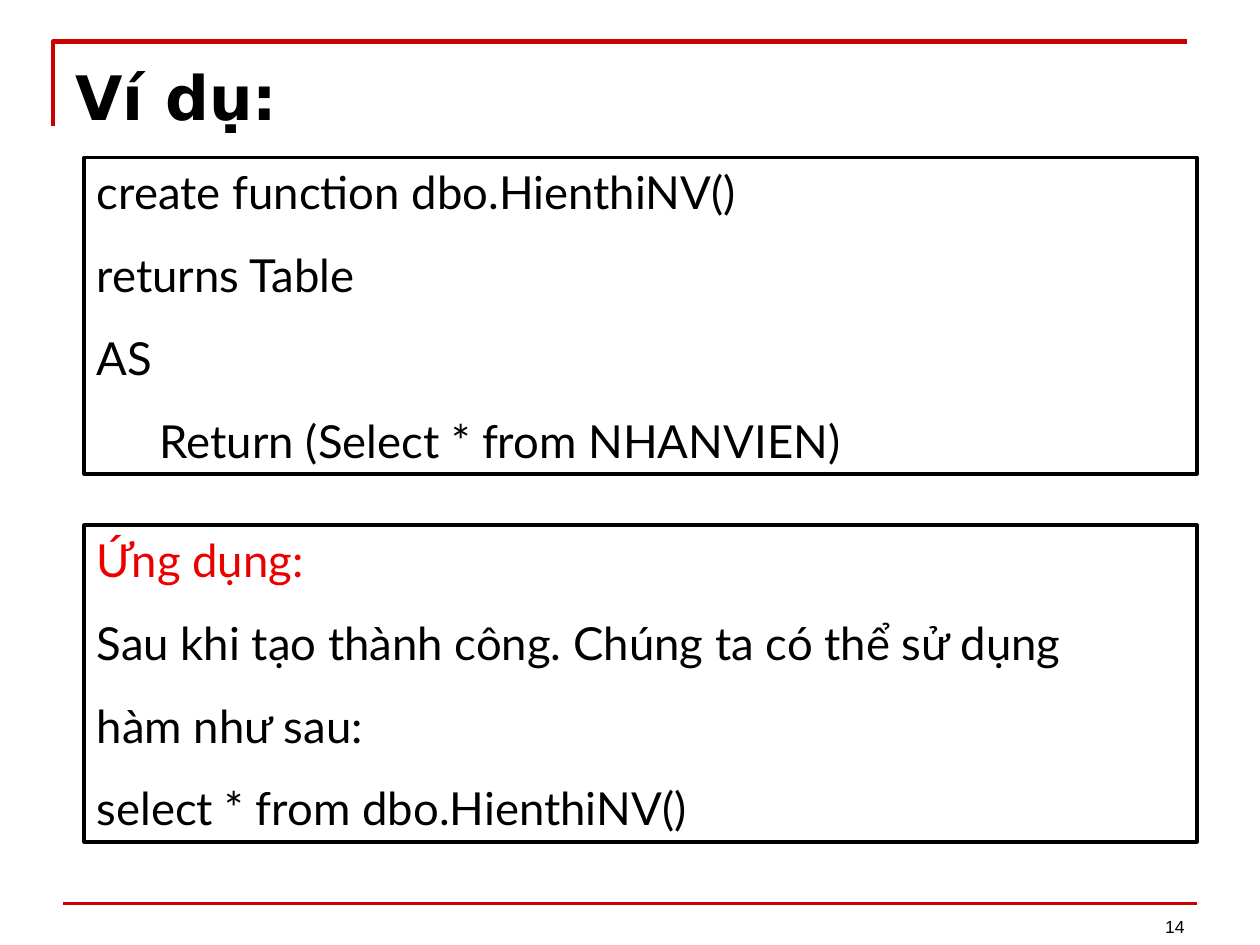
from dataclasses import dataclass

from lxml import etree
from pptx import Presentation
from pptx.dml.color import RGBColor
from pptx.enum.shapes import MSO_CONNECTOR, MSO_SHAPE
from pptx.enum.text import MSO_ANCHOR, PP_ALIGN
from pptx.oxml.ns import qn
from pptx.util import Pt

STRAIGHT = MSO_CONNECTOR.STRAIGHT
RECTANGLE = MSO_SHAPE.RECTANGLE
TOP, BOTTOM = MSO_ANCHOR.TOP, MSO_ANCHOR.BOTTOM
LEFT, RIGHT = PP_ALIGN.LEFT, PP_ALIGN.RIGHT

BLACK = RGBColor(0x00, 0x00, 0x00)
RULE_RED = RGBColor(0xCC, 0x00, 0x00)
HEADING_RED = RGBColor(0xEB, 0x00, 0x00)

PANEL_LEFT, PANEL_WIDTH, PANEL_HEIGHT = 48.24, 635.76, 180.72


@dataclass(frozen=True)
class Line:
    text: str
    color: RGBColor = BLACK


@dataclass(frozen=True)
class Panel:
    top: float
    lines: tuple[Line, ...]


PANELS = (
    Panel(90, (
        Line("create function dbo.HienthiNV()"),
        Line("returns Table"),
        Line("AS"),
        Line("\tReturn (Select * from NHANVIEN)"),
    )),
    Panel(300.24, (
        Line("Ứng dụng:", HEADING_RED),
        Line("Sau khi tạo thành công. Chúng ta có thể sử dụng"),
        Line("hàm như sau:"),
        Line("select * from dbo.HienthiNV()"),
    )),
)


def write_text(paragraph, text: str, *, font: str, size: float,
               color: RGBColor = BLACK, bold: bool = False,
               align=LEFT, space_before: float = 0) -> None:
    paragraph.alignment = align
    paragraph.space_before = Pt(space_before)
    run = paragraph.add_run()
    run.text = text
    run.font.name = font
    run.font.size = Pt(size)
    run.font.bold = bold
    run.font.color.rgb = color


def set_frame(frame, anchor, top_margin: float = 3.6) -> None:
    frame.word_wrap = True
    frame.vertical_anchor = anchor
    frame.margin_left = frame.margin_right = Pt(7.2)
    frame.margin_top, frame.margin_bottom = Pt(top_margin), Pt(3.6)


def draw_title_corner(slide) -> None:
    builder = slide.shapes.build_freeform(Pt(30.24), Pt(72))
    builder.add_line_segments(
        [(Pt(30.24), Pt(23.76)), (Pt(678.24), Pt(23.76))], close=False)
    corner = builder.convert_to_shape()
    corner.shadow.inherit = False
    corner.fill.background()
    corner.line.color.rgb = RULE_RED
    corner.line.width = Pt(2.5)


def draw_footer(slide) -> None:
    rule = slide.shapes.add_connector(
        STRAIGHT, Pt(36), Pt(516.24), Pt(684), Pt(516.24))
    rule.line.color.rgb = RULE_RED
    rule.line.width = Pt(2)
    etree.SubElement(rule._element.spPr, qn("a:effectLst"))
    number = slide.shapes.add_textbox(Pt(516.24), Pt(503.28), Pt(167.76), Pt(36))
    set_frame(number.text_frame, BOTTOM)
    write_text(number.text_frame.paragraphs[0], "14",
               font="Arial", size=10, align=RIGHT)


def draw_title(slide) -> None:
    title = slide.shapes.title
    title.left, title.top = Pt(36), Pt(28.08)
    title.width, title.height = Pt(648), Pt(61.92)
    set_frame(title.text_frame, TOP, top_margin=6)
    write_text(title.text_frame.paragraphs[0], "Ví dụ:",
               font="DejaVu Sans", size=35, bold=True)


def draw_panel(slide, panel: Panel) -> None:
    shape = slide.shapes.add_shape(
        RECTANGLE, Pt(PANEL_LEFT), Pt(panel.top), Pt(PANEL_WIDTH), Pt(PANEL_HEIGHT))
    shape.shadow.inherit = False
    shape.fill.background()
    shape.line.color.rgb = BLACK
    shape.line.width = Pt(2.25)
    frame = shape.text_frame
    set_frame(frame, TOP)
    for index, line in enumerate(panel.lines):
        paragraph = frame.add_paragraph() if index else frame.paragraphs[0]
        write_text(paragraph, line.text, font="Lato", size=26, color=line.color,
                   space_before=16.2 if index else 0)


def main() -> None:
    presentation = Presentation()
    presentation.slide_width, presentation.slide_height = Pt(720), Pt(540)
    slide = presentation.slides.add_slide(presentation.slide_layouts[5])
    draw_title_corner(slide)
    draw_footer(slide)
    draw_title(slide)
    for panel in PANELS:
        draw_panel(slide, panel)
    presentation.save("out.pptx")


if __name__ == "__main__":
    main()
